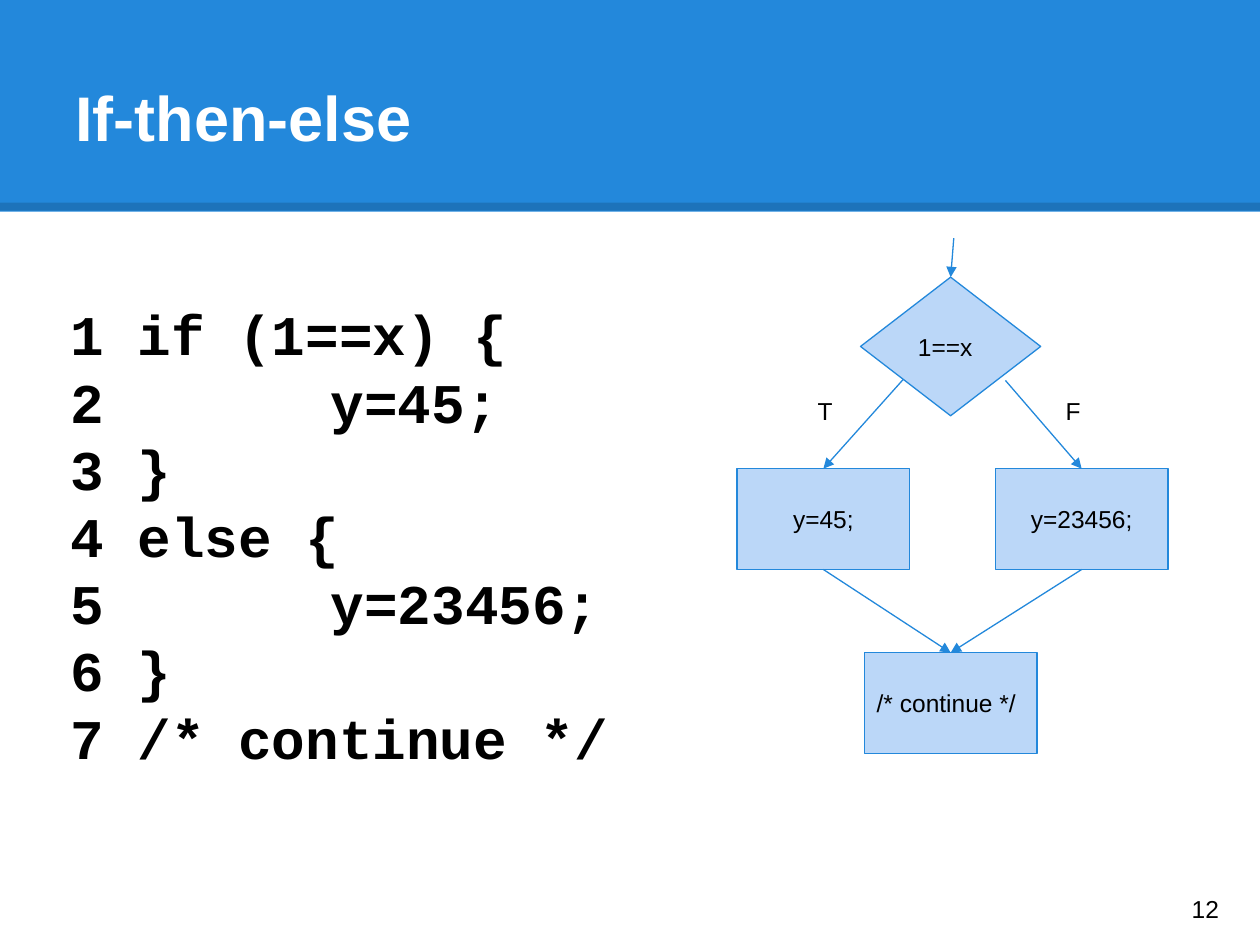
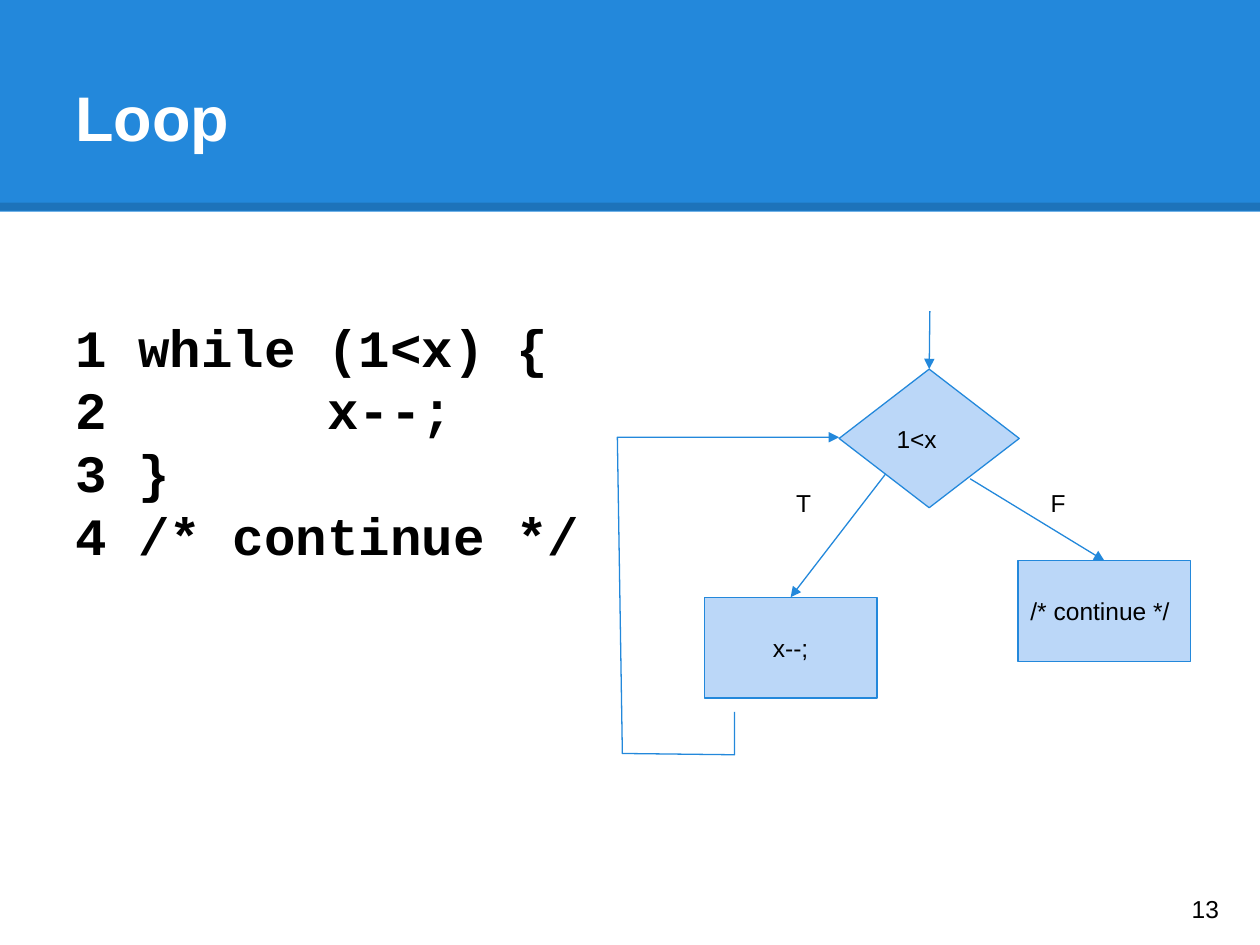
"""Build two slides that pair control-flow code with its flow chart."""
import lxml.etree
import pptx
import pptx.dml.color
import pptx.enum.shapes
import pptx.enum.text
import pptx.oxml.ns
import pptx.util

Inches = pptx.util.Inches
Pt = pptx.util.Pt
SHAPES = pptx.enum.shapes.MSO_SHAPE
STRAIGHT = pptx.enum.shapes.MSO_CONNECTOR.STRAIGHT
MIDDLE = pptx.enum.text.MSO_ANCHOR.MIDDLE
TOP = pptx.enum.text.MSO_ANCHOR.TOP
LEFT = pptx.enum.text.PP_ALIGN.LEFT
CENTER = pptx.enum.text.PP_ALIGN.CENTER
color = pptx.dml.color.RGBColor.from_string
qn = pptx.oxml.ns.qn

BLUE, PALE_BLUE, BLACK, WHITE = "2388DB", "BBD7F8", "000000", "FFFFFF"
BOX_SIZE = (1.37, 0.8)
DIAMOND_SIZE = (1.43, 1.1)
LABEL_SIZE = (0.44, 0.3)
TITLE_INSETS = (0.1, 0.05, 0.05, 0.05)
CODE_INSETS = (0.1, 0.13, 0.1, 0.05)

SLIDES = [
    {
        "title": "If-then-else", "title_width": 8.77, "number": "12",
        "code": ["1 if (1==x) {", "2\t    y=45;", "3 }", "4 else {",
                 "5\t    y=23456;", "6 }", "7 /* continue */"],
        "code_box": (0.46, 2.25, 4.94, 3.83), "code_size": 32, "line_pitch": 38.4,
        "nodes": {
            "then": (SHAPES.RECTANGLE, 5.85, 3.72, "y=45;", CENTER),
            "else": (SHAPES.RECTANGLE, 7.9, 3.72, "y=23456;", CENTER),
            "continue": (SHAPES.RECTANGLE, 6.86, 5.18, "/* continue */", LEFT),
            "condition": (SHAPES.DIAMOND, 6.83, 2.2, "1==x", LEFT),
        },
        "arrows": [
            ((6.54, 4.52), ("then", 2), (7.54, 5.18), ("continue", 0)),
            ((8.58, 4.52), ("else", 2), (7.54, 5.18), ("continue", 0)),
            ((7.17, 3.01), None, (6.54, 3.72), ("then", 0)),
            ((7.98, 3.02), None, (8.58, 3.72), ("else", 0)),
            ((7.57, 1.89), None, (7.54, 2.2), ("condition", 0)),
        ],
        "labels": [("T", 6.39, 3.04), ("F", 8.36, 3.04)],
        "loop_back": [],
    },
    {
        "title": "Loop", "title_width": 7.72, "number": "13",
        "code": ["1 while (1<x) {", "2\t    x--;", "3 }", "4 /* continue */"],
        "code_box": (0.5, 2.37, 5.56, 2.23), "code_size": 30, "line_pitch": 35.8,
        "nodes": {
            "body": (SHAPES.RECTANGLE, 5.59, 4.74, "x--;", CENTER),
            "continue": (SHAPES.RECTANGLE, 8.08, 4.45, "/* continue */", LEFT),
            "condition": (SHAPES.DIAMOND, 6.66, 2.93, "1<x", LEFT),
        },
        "arrows": [
            ((7.7, 3.8), None, (8.76, 4.45), ("continue", 0)),
            ((7.03, 3.76), None, (6.27, 4.74), ("body", 0)),
            ((7.38, 2.47), None, (7.37, 2.93), ("condition", 0)),
        ],
        "labels": [("T", 6.22, 3.77), ("F", 8.24, 3.77)],
        "loop_back": [(5.83, 5.65), (5.83, 5.99), (4.94, 5.98), (4.9, 3.47), (6.66, 3.47)],
    },
]


def write(shape, lines, size=14, font="Arial", ink=BLACK, bold=False, anchor=MIDDLE,
          alignment=LEFT, insets=(0.1, 0.1, 0.1, 0.1), line_pitch=None):
    frame = shape.text_frame
    frame.word_wrap = True
    frame.vertical_anchor = anchor
    frame.margin_left, frame.margin_top, frame.margin_right, frame.margin_bottom = map(Inches, insets)
    frame.text = "\n".join(lines)
    for paragraph in frame.paragraphs:
        paragraph.alignment = alignment
        if line_pitch:
            paragraph.line_spacing = Pt(line_pitch)
        if "\t" in paragraph.text:
            properties = paragraph._p.get_or_add_pPr()
            tabs = lxml.etree.SubElement(properties, qn("a:tabLst"))
            lxml.etree.SubElement(tabs, qn("a:tab"), pos=str(Inches(1)), algn="l")
        paragraph.font.name = font
        paragraph.font.size = Pt(size)
        paragraph.font.bold = bold
        paragraph.font.color.rgb = color(ink)


def outline(shape, ink=BLUE, width=0.75, arrow=False):
    shape.line.color.rgb = color(ink)
    shape.line.width = Pt(width)
    properties = shape._element.spPr
    if arrow:
        lxml.etree.SubElement(properties.find(qn("a:ln")), qn("a:tailEnd"), type="triangle")
    lxml.etree.SubElement(properties, qn("a:effectLst"))


presentation = pptx.Presentation()
presentation.slide_width = Inches(10)
presentation.slide_height = Inches(7.5)

for content in SLIDES:
    slide = presentation.slides.add_slide(presentation.slide_layouts[6])
    shapes = slide.shapes

    band = shapes.add_shape(SHAPES.RECTANGLE, 0, 0, Inches(10), Inches(1.68))
    band.shadow.inherit = False
    band.fill.solid()
    band.fill.fore_color.rgb = color(BLUE)
    band.line.fill.background()
    band_edge = shapes.add_connector(STRAIGHT, 0, Inches(1.64), Inches(10), Inches(1.64))
    outline(band_edge, BLACK, 4.5)
    edge_color = band_edge._element.spPr.find(".//" + qn("a:srgbClr"))
    lxml.etree.SubElement(edge_color, qn("a:alpha"), val="15000")

    code = shapes.add_textbox(*map(Inches, content["code_box"]))
    write(code, content["code"], content["code_size"], "Courier New", bold=True,
          anchor=TOP, insets=CODE_INSETS, line_pitch=content["line_pitch"])
    title = shapes.add_textbox(Inches(0.5), Inches(0.3), Inches(content["title_width"]), Inches(1.25))
    write(title, [content["title"]], 36, ink=WHITE, bold=True, insets=TITLE_INSETS)

    nodes = {}
    for name, (kind, left, top, text, alignment) in content["nodes"].items():
        size = DIAMOND_SIZE if kind == SHAPES.DIAMOND else BOX_SIZE
        node = shapes.add_shape(kind, *map(Inches, (left, top, *size)))
        node.fill.solid()
        node.fill.fore_color.rgb = color(PALE_BLUE)
        outline(node)
        write(node, [text], alignment=alignment)
        nodes[name] = node

    for start, source, end, target in content["arrows"]:
        arrow = shapes.add_connector(STRAIGHT, *map(Inches, start + end))
        if source:
            arrow.begin_connect(nodes[source[0]], source[1])
        arrow.end_connect(nodes[target[0]], target[1])
        outline(arrow, arrow=True)

    for text, left, top in content["labels"]:
        label = shapes.add_textbox(*map(Inches, (left, top, *LABEL_SIZE)))
        write(label, [text], anchor=TOP)

    if content["loop_back"]:
        points = [(Inches(x), Inches(y)) for x, y in content["loop_back"]]
        builder = shapes.build_freeform(*points[0])
        builder.add_line_segments(points[1:], close=False)
        loop_back = builder.convert_to_shape()
        loop_back.fill.background()
        outline(loop_back, arrow=True)

    number = shapes.add_textbox(Inches(9.36), Inches(6.93), Inches(0.6), Inches(0.57))
    write(number, [content["number"]])

presentation.save("out.pptx")
